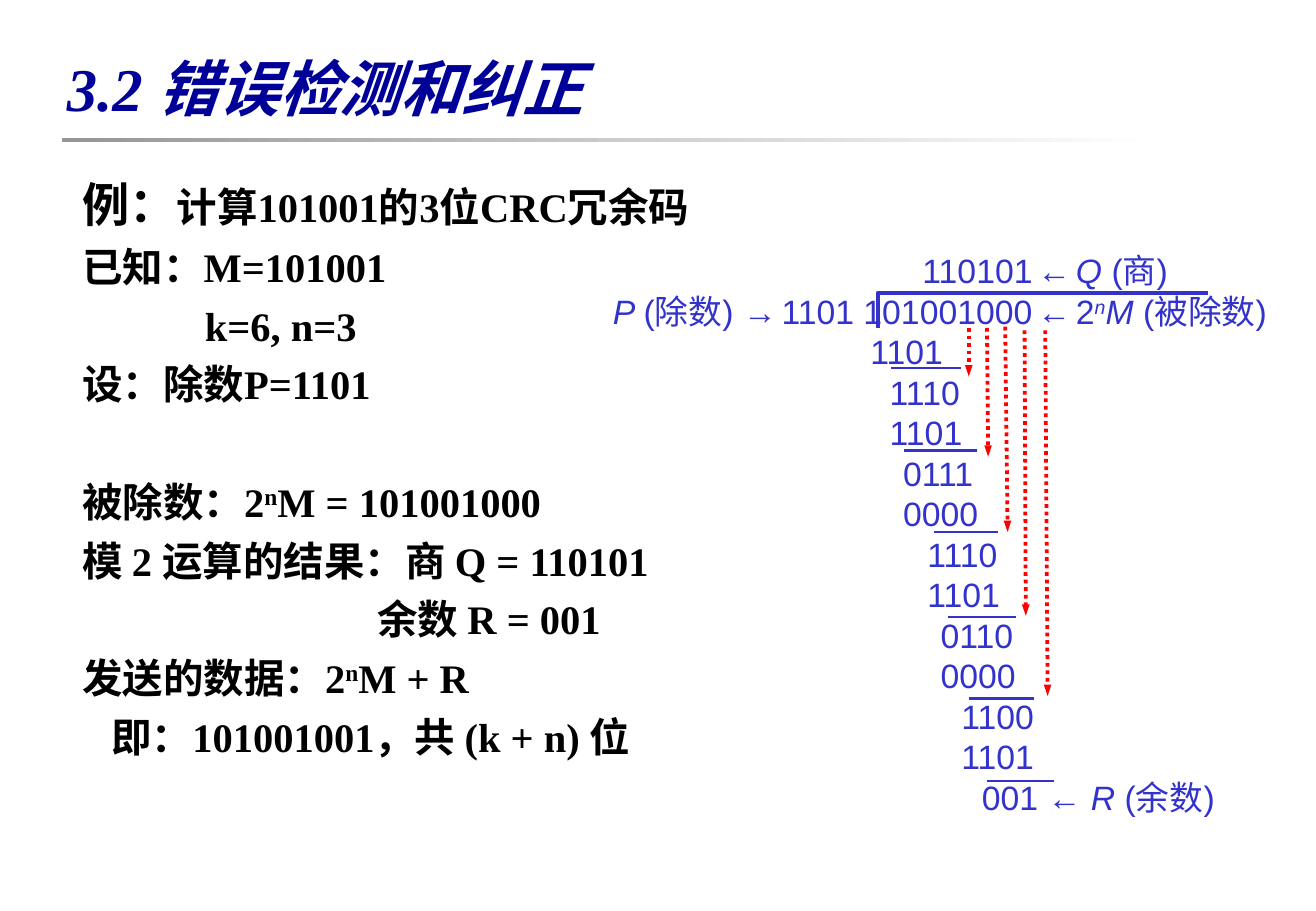
from lxml import etree
from pptx import Presentation
from pptx.dml.color import RGBColor
from pptx.enum.dml import MSO_LINE
from pptx.enum.shapes import MSO_CONNECTOR, MSO_SHAPE
from pptx.enum.text import MSO_ANCHOR, PP_ALIGN
from pptx.oxml.ns import qn
from pptx.util import Inches, Pt

STRAIGHT = MSO_CONNECTOR.STRAIGHT
RECTANGLE = MSO_SHAPE.RECTANGLE
DOTTED = MSO_LINE.ROUND_DOT
MIDDLE = MSO_ANCHOR.MIDDLE
LEFT = PP_ALIGN.LEFT

COLORS = {"title": "000099", "text": "000000", "division": "3333CC",
          "arrow": "FF0000", "rule": "969696", "white": "FFFFFF"}
TITLE_ONLY = 5
HANG = 0.58


def color(name):
    return RGBColor.from_string(COLORS[name])


class SlideBuilder:
    serif = "Times New Roman"
    sans = "Arial"

    def __init__(self, deck):
        self.page = deck.slides.add_slide(deck.slide_layouts[TITLE_ONLY])
        self.shapes = self.page.shapes

    def style_span(self, span, face, size, tone, marks):
        """Marks: b bold, i italic, s superscript, t tiny, h heading size."""
        font = span.font
        font.name = face
        font.size = Pt(10 if "t" in marks else 28 if "h" in marks else size)
        font.color.rgb = color(tone)
        font.bold = "b" in marks
        font.italic = "i" in marks
        if "s" in marks:
            span._r.get_or_add_rPr().set("baseline", "30000")

    def title(self, text, left, top, width, height):
        box = self.shapes.title
        box.left, box.top = Inches(left), Inches(top)
        box.width, box.height = Inches(width), Inches(height)
        box.text_frame.text = text
        box.text_frame.vertical_anchor = MIDDLE
        para = box.text_frame.paragraphs[0]
        para.alignment = LEFT
        self.style_span(para.runs[0], self.serif, 36, "title", "bi")

    def rule(self, left, top, width, height):
        bar = self.shapes.add_shape(RECTANGLE, Inches(left), Inches(top),
                                    Inches(width), Inches(height))
        bar.shadow.inherit = False
        bar.line.fill.background()
        bar.fill.gradient()
        bar.fill.gradient_angle = 0
        for stop, tone in zip(bar.fill.gradient_stops, ("rule", "white")):
            stop.color.rgb = color(tone)

    def text(self, area, lines, face, size, tone, leading):
        """Each line is (left margin, first-line indent, space before, spans)."""
        box = self.shapes.add_textbox(*[Inches(v) for v in area])
        frame = box.text_frame
        frame.word_wrap = True
        frame.margin_right = 0
        for number, (margin, indent, before, spans) in enumerate(lines):
            para = frame.add_paragraph() if number else frame.paragraphs[0]
            props = para._p.get_or_add_pPr()
            props.set("marL", str(Inches(margin)))
            props.set("indent", str(Inches(indent)))
            para.line_spacing = Pt(leading)
            para.space_before = Pt(before)
            for words, marks in spans:
                span = para.add_run()
                span.text = words
                self.style_span(span, face, size, tone, marks)

    def line(self, start, end, tone, width, arrow=False):
        link = self.shapes.add_connector(
            STRAIGHT, *[Inches(v) for v in (*start, *end)])
        link.line.color.rgb = color(tone)
        link.line.width = Pt(width)
        if arrow:
            link.line.dash_style = DOTTED
            etree.SubElement(link.line._get_or_add_ln(), qn("a:tailEnd"),
                             type="triangle", w="sm", len="med")
        etree.SubElement(link._element.spPr, qn("a:effectLst"))

    def outline(self, points, tone, width):
        first, *rest = [(Inches(x), Inches(y)) for x, y in points]
        builder = self.shapes.build_freeform(*first)
        builder.add_line_segments(rest, close=False)
        shape = builder.convert_to_shape()
        shape.shadow.inherit = False
        shape.fill.background()
        shape.line.color.rgb = color(tone)
        shape.line.width = Pt(width)


def hanging(*spans, before=6):
    return HANG, -HANG, before, spans


def shifted(margin, *spans, before=0):
    return margin, 0, before, spans


def main():
    deck = Presentation()
    deck.slide_width, deck.slide_height = Inches(10.84), Inches(7.5)
    slide = SlideBuilder(deck)

    # Heading
    slide.rule(0.51, 1.14, 9, 0.03)
    slide.title("3.2 错误检测和纠正", 0.45, 0.28, 9.84, 0.87)

    # Worked example
    example = [
        hanging(("例：", "bh"), ("计算101001的3位CRC冗余码", "b"), before=0),
        hanging(("已知：M=101001", "b")),
        shifted(1.01, ("k=6, n=3", "b"), before=6),
        hanging(("设：除数P=1101", "b")),
        hanging(("被除数：2", "b"), ("n", "bs"), ("M = 101001000", "b"),
                before=40.8),
        hanging(("模 2 运算的结果：商 Q = 110101", "b")),
        shifted(2.43, ("余数 R = 001", "b"), before=6),
        hanging(("发送的数据：2", "b"), ("n", "bs"), ("M + R", "b")),
        shifted(0.24, ("即：101001001，共 (k + n) 位", "b"), before=6),
    ]
    slide.text((0.58, 1.46, 5.13, 5.84), example, slide.serif, 24, "text", 28.8)

    # Long division
    gap = (" ", "t")
    division = [
        shifted(2.86, ("110101", ""), gap, ("←", ""), gap, ("Q ", "i"),
                ("(商)", "")),
        shifted(0.31, ("P ", "i"), ("(除数) ", ""), ("→", "b"), (" ", "bt"),
                ("1101 101001000", ""), gap, ("←", ""), gap, ("2", ""),
                ("n", "is"), ("M ", "i"), ("(被除数)", "")),
    ]
    steps = [(2.43, "1101"), (2.59, "1110"), (2.59, "1101"), (2.7, "0111"),
             (2.7, "0000"), (2.9, "1110"), (2.9, "1101"), (3.01, "0110"),
             (3.01, "0000"), (3.18, "1100"), (3.18, "1101")]
    division += [shifted(margin, (digits, "")) for margin, digits in steps]
    division.append(shifted(3.35, ("001 ← ", ""), ("R", "i"), (" (余数)", "")))
    slide.text((4.64, 2.01, 6.19, 4.77), division, slide.sans, 20,
               "division", 24)

    # Division bracket
    slide.outline([(7.23, 2.7), (7.23, 2.41), (9.95, 2.41)], "division", 2.25)

    # Digits brought down
    for x1, y1, x2, y2 in [(7.98, 2.7, 7.98, 3.1), (8.13, 2.7, 8.14, 3.76),
                           (8.28, 2.69, 8.3, 4.38), (8.44, 2.72, 8.45, 5.07),
                           (8.61, 2.72, 8.63, 5.73)]:
        slide.line((x1, y1), (x2, y2), "arrow", 2.25, arrow=True)

    # Subtraction lines
    for left, right, y in [(7.34, 7.92, 3.03), (7.45, 8.05, 3.71),
                           (7.69, 8.22, 4.38), (7.81, 8.37, 5.08),
                           (7.98, 8.52, 5.75), (8.13, 8.68, 6.43)]:
        slide.line((left, y), (right, y), "division", 1.5)

    deck.save("out.pptx")


if __name__ == "__main__":
    main()
